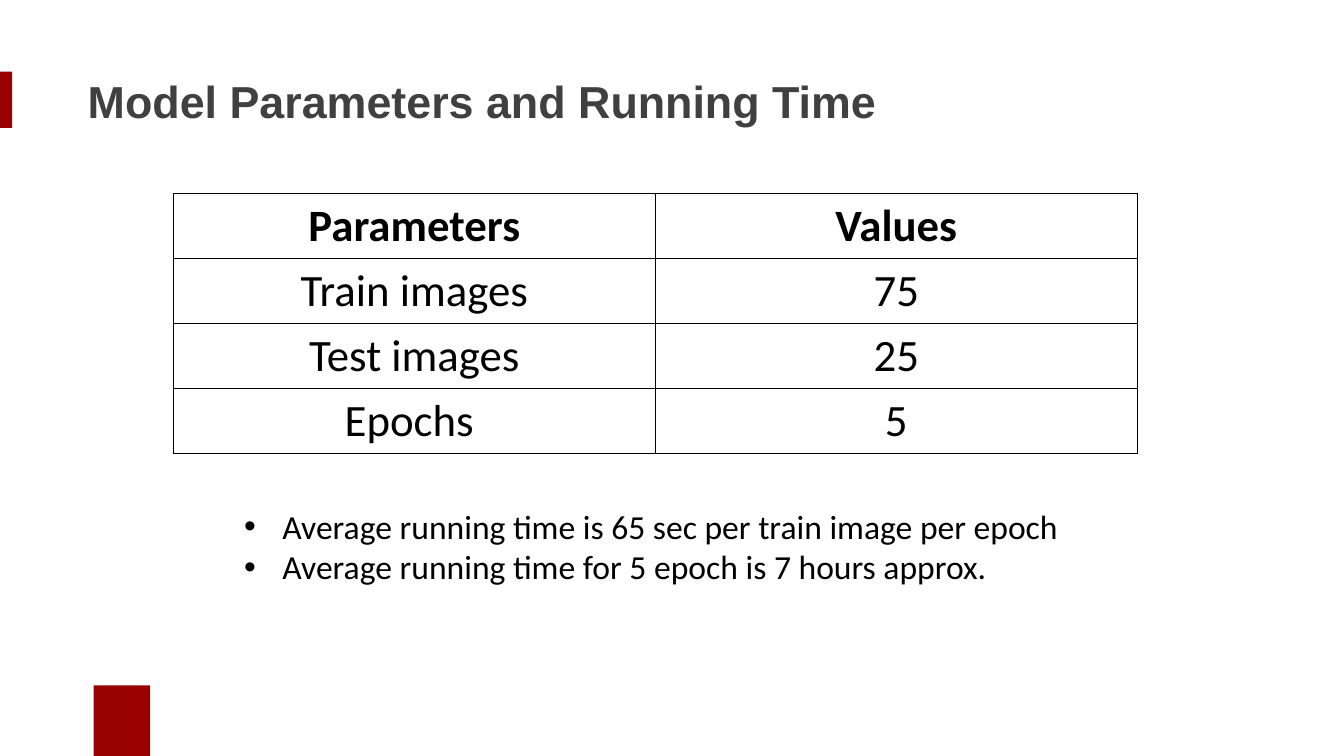
from lxml import etree
from pptx import Presentation
from pptx.dml.color import RGBColor
from pptx.enum.shapes import MSO_SHAPE
from pptx.enum.text import MSO_ANCHOR, MSO_AUTO_SIZE, PP_ALIGN
from pptx.oxml.ns import qn
from pptx.util import Inches, Pt

HEADING = "Model Parameters and Running Time"
PARAMETERS = [
    ("Parameters", "Values"),
    ("Train images", "75"),
    ("Test images", "25"),
    ("Epochs ", "5"),
]
TIMINGS = [
    "Average running time is 65 sec per train image per epoch",
    "Average running time for 5 epoch is 7 hours approx.",
]
WIDTH, HEIGHT = 13.33, 7.5
COLUMN, ROW = 4.78, 0.645
RED, GREY, BLACK = "990000", "404041", "000000"
ACCENTS = [(0, 0.71, 0.12, 0.56), (0.93, 6.8, 0.56, HEIGHT - 6.8)]
HEADING_BOX = (0.77, 0.46, 11.46, 1.14)
GRID_BOX = (1.72, 1.92, 2 * COLUMN, len(PARAMETERS) * ROW)
TIMINGS_BOX = (2.32, 4.97, 8.36, 0.91)
HEADING_FONT = {"name": "Arial", "size": Pt(32), "bold": True}
CELL_FONT = {"name": "Calibri", "size": Pt(32)}
TIMING_FONT = {"name": "Calibri", "size": Pt(24), "bold": False}
FLUSH = {"space_before": Pt(0), "space_after": Pt(0)}


def color(value):
    return RGBColor.from_string(value)


def apply(target, values):
    for key, value in values.items():
        setattr(target, key, value)


def place(shape, box):
    apply(shape, dict(zip(("left", "top", "width", "height"), map(Inches, box))))


def write(paragraph, text, font, ink, layout):
    run = paragraph.add_run()
    run.text = text
    apply(run.font, font)
    run.font.color.rgb = color(ink)
    apply(paragraph, layout)


def add_borders(cell, ink):
    properties = cell._tc.get_or_add_tcPr()
    for index, side in enumerate(("a:lnL", "a:lnR", "a:lnT", "a:lnB")):
        line = etree.Element(qn(side), w=str(Pt(1)))
        fill = etree.SubElement(line, qn("a:solidFill"))
        etree.SubElement(fill, qn("a:srgbClr"), val=ink)
        properties.insert(index, line)


def add_bullet(paragraph, indent):
    properties = paragraph._p.get_or_add_pPr()
    properties.set("marL", str(Inches(indent)))
    properties.set("indent", str(-Inches(indent)))
    etree.SubElement(properties, qn("a:buFont"), typeface="Arial")
    etree.SubElement(properties, qn("a:buChar"), char="•")


def add_accents(slide):
    for box in ACCENTS:
        accent = slide.shapes.add_shape(MSO_SHAPE.RECTANGLE, *map(Inches, box))
        accent.shadow.inherit = False
        accent.fill.solid()
        accent.fill.fore_color.rgb = color(RED)
        accent.line.fill.background()


def add_heading(slide):
    heading = slide.shapes.title
    place(heading, HEADING_BOX)
    frame = heading.text_frame
    apply(frame, {"vertical_anchor": MSO_ANCHOR.MIDDLE, "word_wrap": True,
                  "auto_size": MSO_AUTO_SIZE.NONE})
    write(frame.paragraphs[0], HEADING, HEADING_FONT, GREY,
          {"alignment": PP_ALIGN.LEFT, "line_spacing": 0.9})


def add_parameters(slide):
    grid = slide.shapes.add_table(len(PARAMETERS), 2, *map(Inches, GRID_BOX)).table
    for r, entries in enumerate(PARAMETERS):
        for c, entry in enumerate(entries):
            cell = grid.cell(r, c)
            cell.vertical_anchor = MSO_ANCHOR.MIDDLE
            cell.fill.background()
            add_borders(cell, BLACK)
            write(cell.text_frame.paragraphs[0], entry,
                  {**CELL_FONT, "bold": r == 0}, BLACK,
                  {"alignment": PP_ALIGN.CENTER})


def add_timings(slide):
    timings = slide.placeholders[1]
    place(timings, TIMINGS_BOX)
    frame = timings.text_frame
    apply(frame, {"vertical_anchor": MSO_ANCHOR.TOP, "word_wrap": True,
                  "auto_size": MSO_AUTO_SIZE.SHAPE_TO_FIT_TEXT})
    for i, timing in enumerate(TIMINGS):
        paragraph = frame.add_paragraph() if i else frame.paragraphs[0]
        write(paragraph, timing, TIMING_FONT, BLACK, FLUSH)
        add_bullet(paragraph, 0.38)


def main():
    """Build the slide of model parameters and running times."""
    deck = Presentation()
    apply(deck, {"slide_width": Inches(WIDTH), "slide_height": Inches(HEIGHT)})
    slide = deck.slides.add_slide(deck.slide_layouts[1])
    for add_part in (add_accents, add_heading, add_parameters, add_timings):
        add_part(slide)
    deck.save("out.pptx")


if __name__ == "__main__":
    main()
